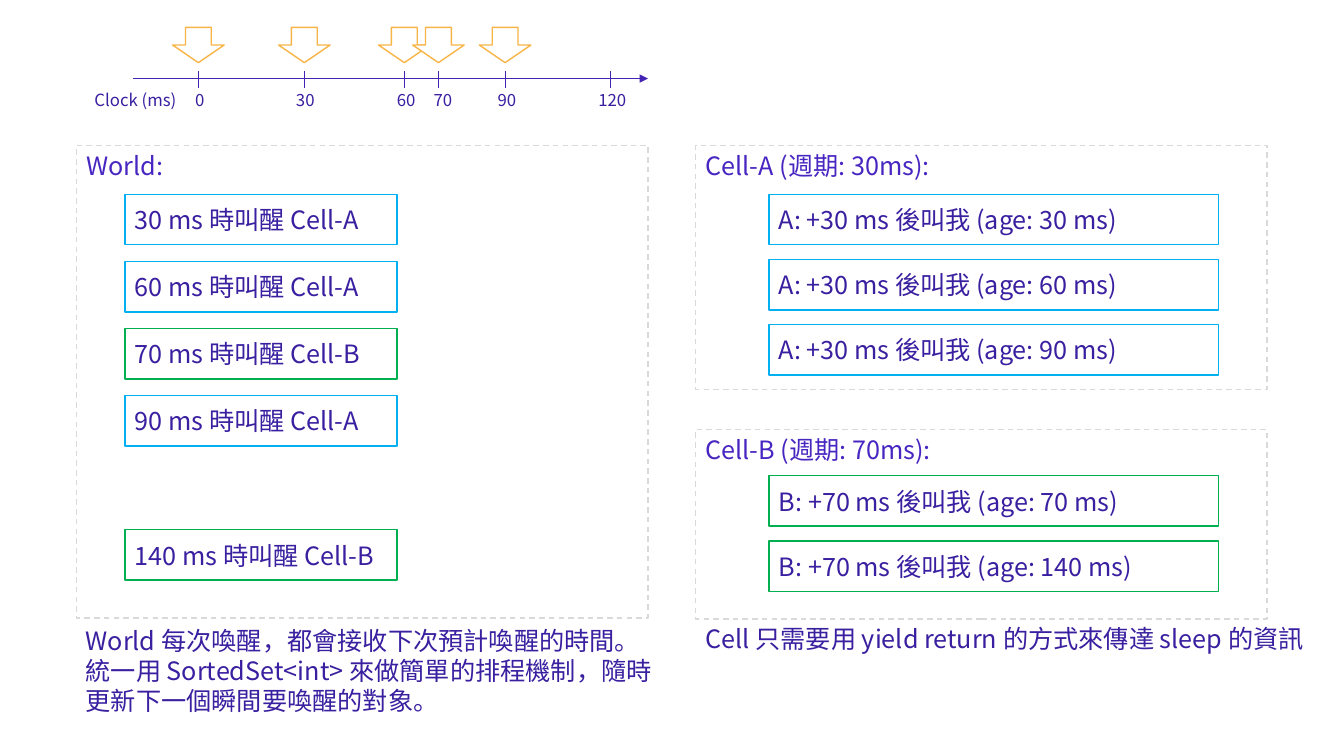
from lxml import etree
from pptx import Presentation
from pptx.dml.color import RGBColor
from pptx.enum import dml, shapes, text
from pptx.oxml import ns
from pptx.util import Cm, Pt

FONT = "Noto Sans CJK SC"
WHITE = RGBColor(0xFF, 0xFF, 0xFF)
GREY = RGBColor(0xD9, 0xD9, 0xD9)
BLUE = RGBColor(0x00, 0xB0, 0xF0)
GREEN = RGBColor(0x00, 0xB0, 0x50)
GOLD = RGBColor(0xF7, 0xB5, 0x48)
HEAD = RGBColor(0x48, 0x26, 0xC1)
INK = RGBColor(0x3A, 0x20, 0xA0)
AXIS = RGBColor(0x44, 0x24, 0xB5)

PANELS = [
    ("Cell-A (週期: 30ms):", 17.53, 3.66, 6.15),
    ("Cell-B (週期: 70ms):", 17.53, 10.82, 4.78),
    ("World:", 1.93, 3.66, 11.91),
]
STACKS = [
    (19.38, 4.9, 11.33, 1.64, [
        (0, "A: +30 ms 後叫我 (age: 30 ms)", BLUE),
        (1, "A: +30 ms 後叫我 (age: 60 ms)", BLUE),
        (2, "A: +30 ms 後叫我 (age: 90 ms)", BLUE),
    ]),
    (19.38, 11.99, 11.33, 1.64, [
        (0, "B: +70 ms 後叫我 (age: 70 ms)", GREEN),
        (1, "B: +70 ms 後叫我 (age: 140 ms)", GREEN),
    ]),
    (3.15, 4.9, 6.86, 1.69, [
        (0, "30 ms 時叫醒 Cell-A", BLUE),
        (1, "60 ms 時叫醒 Cell-A", BLUE),
        (2, "70 ms 時叫醒 Cell-B", GREEN),
        (3, "90 ms 時叫醒 Cell-A", BLUE),
        (5, "140 ms 時叫醒 Cell-B", GREEN),
    ]),
]
NOTES = [
    (17.53, 15.57, 15.8, 1.8,
     ["Cell 只需要用 yield return 的方式來傳達 sleep 的資訊"]),
    (1.91, 15.62, 15.4, 2.57,
     ["World 每次喚醒，都會接收下次預計喚醒的時間。",
      "統一用 SortedSet<int> 來做簡單的排程機制，隨時",
      "更新下一個瞬間要喚醒的對象。"]),
]
CLOCK = "Clock (ms)"
TICKS = [
    ("0", 5.0, 2.54, True),
    ("30", 7.67, 5.08, True),
    ("60", 10.19, 7.62, True),
    ("70", 11.05, 8.55, True),
    ("90", 12.73, 10.16, True),
    ("120", 15.39, 12.7, False),
]


def write(shape, lines, size=18, color=INK, anchor=text.MSO_ANCHOR.TOP, tabs=()):
    frame = shape.text_frame
    frame.word_wrap = True
    frame.vertical_anchor = anchor
    for i, line in enumerate(lines):
        para = frame.add_paragraph() if i else frame.paragraphs[0]
        para.alignment = text.PP_ALIGN.LEFT
        if tabs:
            stops = etree.SubElement(para._p.get_or_add_pPr(), ns.qn("a:tabLst"))
            for pos in tabs:
                etree.SubElement(stops, ns.qn("a:tab"), pos=str(Cm(pos)), algn="l")
        run = para.add_run()
        run.text = line
        run.font.size = Pt(size)
        run.font.color.rgb = color
        run.font.name = FONT
        etree.SubElement(run._r.get_or_add_rPr(), ns.qn("a:ea"), typeface=FONT)


def draw(slide, kind, box, edge, fill=WHITE):
    shape = slide.shapes.add_shape(kind, *map(Cm, box))
    shape.shadow.inherit = False
    if fill is None:
        shape.fill.background()
    else:
        shape.fill.solid()
        shape.fill.fore_color.rgb = fill
    shape.line.color.rgb = edge
    shape.line.width = Pt(1)
    return shape


def rule(slide, *ends):
    line = slide.shapes.add_connector(shapes.MSO_CONNECTOR.STRAIGHT, *map(Cm, ends))
    line.line.color.rgb = AXIS
    line.line.width = Pt(0.5)
    etree.SubElement(line._element.spPr, ns.qn("a:effectLst"))
    return line


def main():
    deck = Presentation()
    deck.slide_width, deck.slide_height = Cm(33.87), Cm(19.05)
    slide = deck.slides.add_slide(deck.slide_layouts[6])
    rect = shapes.MSO_SHAPE.RECTANGLE

    for title, left, top, high in PANELS:
        panel = draw(slide, rect, (left, top, 14.4, high), GREY, None)
        panel.line.dash_style = dml.MSO_LINE.DASH
        write(panel, [title], color=HEAD)

    for left, top, wide, step, cards in STACKS:
        for slot, label, edge in cards:
            card = draw(slide, rect, (left, top + slot * step, wide, 1.27), edge)
            write(card, [label], anchor=text.MSO_ANCHOR.MIDDLE)

    for *box, lines in NOTES:
        write(slide.shapes.add_textbox(*map(Cm, box)), lines)

    axis = rule(slide, 3.35, 1.98, 16.33, 1.98)
    etree.SubElement(axis.line._get_or_add_ln(), ns.qn("a:tailEnd"), type="triangle")
    scale = slide.shapes.add_textbox(Cm(2.13), Cm(2.13), Cm(14.22), Cm(0.77))
    write(scale, ["\t".join([CLOCK] + [tick[0] for tick in TICKS])], size=12,
          tabs=[tick[2] for tick in TICKS])
    for _, mid, _, wake in TICKS:
        rule(slide, mid, 1.78, mid, 2.21)
        if wake:
            draw(slide, shapes.MSO_SHAPE.DOWN_ARROW, (mid - 0.65, 0.69, 1.3, 0.89), GOLD)

    deck.save("out.pptx")


if __name__ == "__main__":
    main()
